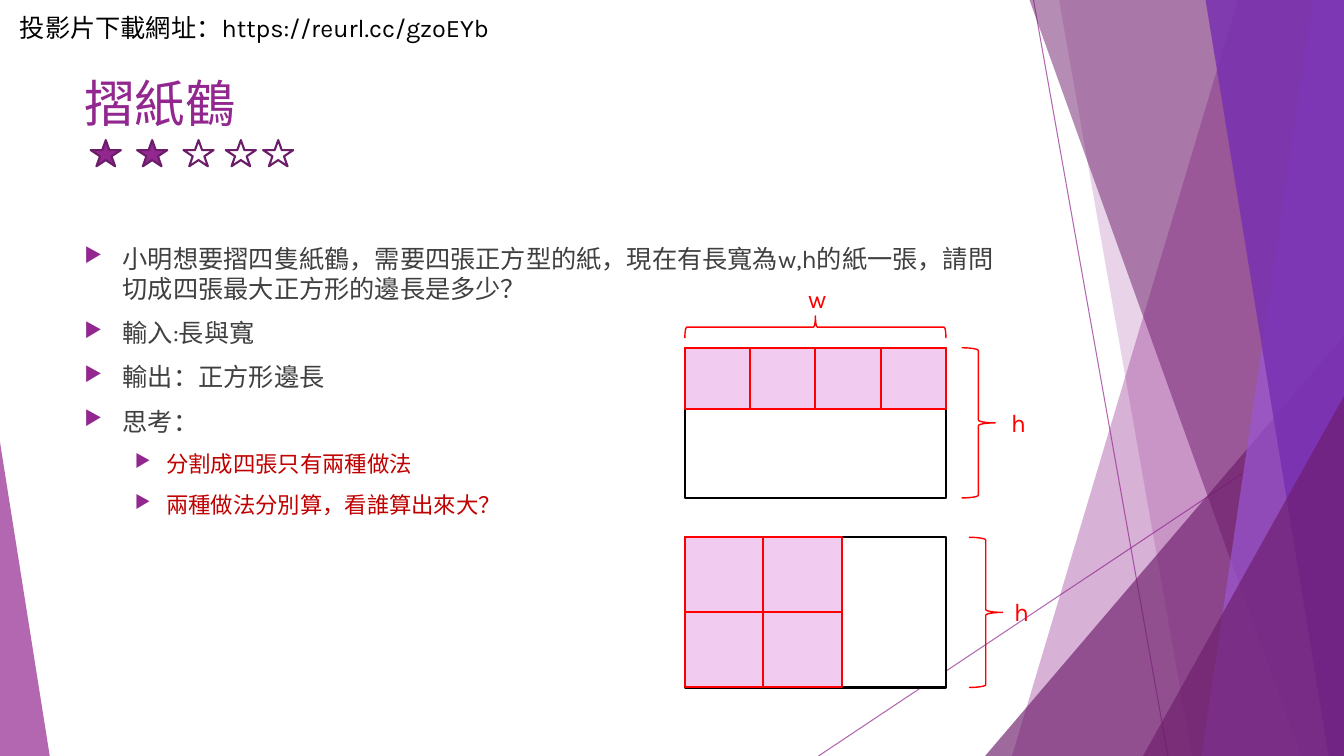
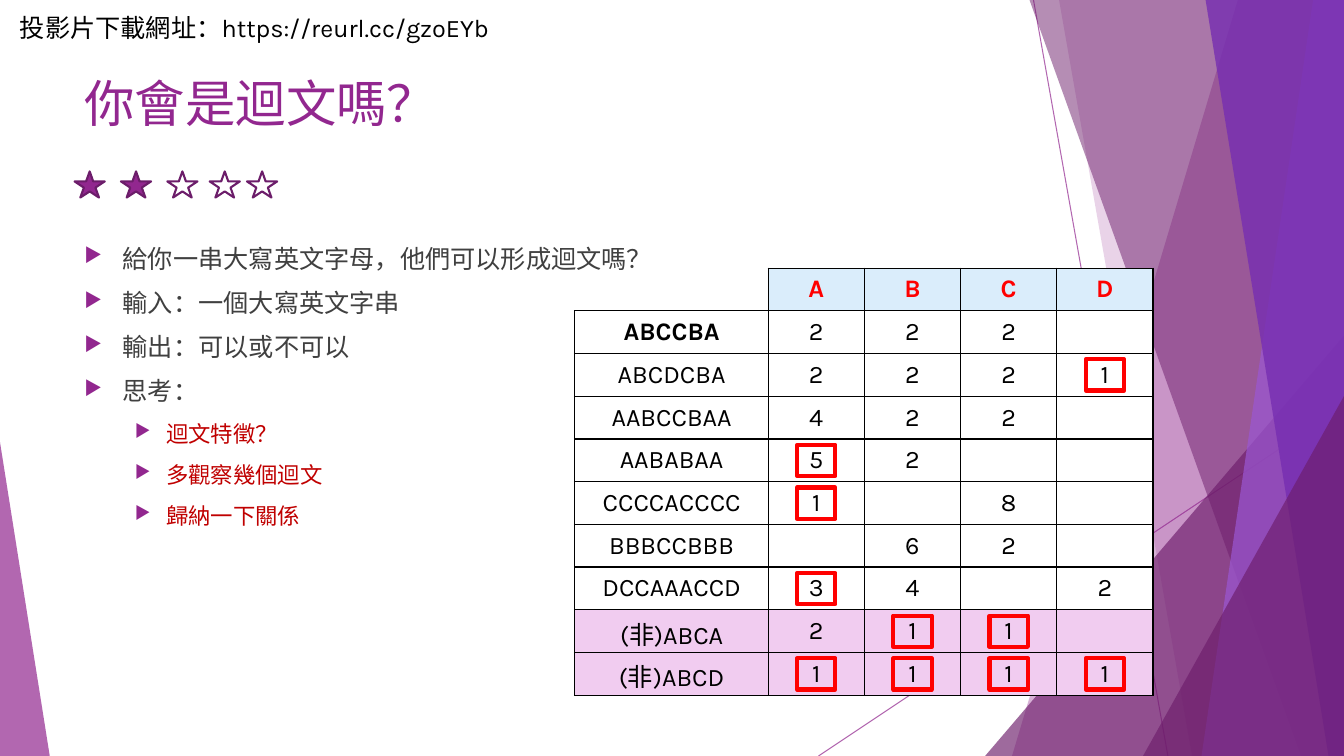
from dataclasses import dataclass
from typing import NamedTuple, Optional

from lxml import etree
from pptx import Presentation
from pptx import util as u
from pptx.dml.color import RGBColor
from pptx.enum import shapes, text
from pptx.oxml.ns import qn

KIND = shapes.MSO_SHAPE
MID = text.PP_ALIGN.CENTER


@dataclass(frozen=True)
class Theme:
    font: str = "Karla"
    head: float = 36
    base: float = 18
    sub: float = 16
    plum: str = "92278F"
    deep: str = "6D1D6B"
    edge: str = "6C1D6A"
    lilac: str = "9B57D3"
    violet: str = "762EB1"
    pink: str = "F1CCF0"
    sky: str = "DAEDFB"
    gray: str = "404040"
    dark: str = "C00000"
    red: str = "FF0000"
    black: str = "000000"
    white: str = "FFFFFF"


T = Theme()
WIDE, HIGH = u.Inches(13.33), u.Inches(7.5)


# The slide is a grid of 100 columns by 100 rows
def col(n: float) -> int:
    return round(WIDE * n / 100)


def row(n: float) -> int:
    return round(HIGH * n / 100)


class Box(NamedTuple):
    x: float
    y: float
    w: float
    h: float

    def emu(self) -> tuple:
        return col(self.x), row(self.y), col(self.w), row(self.h)


class Pane(NamedTuple):
    top: float
    foot: float
    hue: str
    alpha: int


class Wedge(NamedTuple):
    box: Box
    tip: float
    hue: str
    alpha: int


class Item(NamedTuple):
    words: str
    deep: bool = False


class Count(NamedTuple):
    word: str
    nums: tuple
    hue: str = T.white
    bold: bool = False


# Content
LINK = "投影片下載網址：https://reurl.cc/gzoEYb"
LINES = [(76.9, 0, 86.9, 100), (100, 53.7, 60.9, 100)]
BACK = [
    Pane(92.1, 75.3, T.plum, 36),
    Pane(78.8, 88.7, T.plum, 20),
    Wedge(Box(73.3, 44.4, 26.7, 55.6), 1, T.deep, 66),
    Pane(76.6, 96.8, T.deep, 50),
    Pane(97.7, 89.4, T.lilac, 70),
    Pane(89.7, 98.85, T.violet, 80),
    Wedge(Box(85.05, 52.4, 14.95, 47.6), 1, T.deep, 66),
    Wedge(Box(0, 58.5, 3.7, 41.5), 0, T.plum, 70),
]
STEPS = (0, 3.45, 6.9, 10.05, 12.83)
CRANE = [
    Item("小明想要摺四隻紙鶴，需要四張正方型的紙，現在有長寬為w,h的紙一張，"
         "請問切成四張最大正方形的邊長是多少？"),
    Item("輸入:長與寬"),
    Item("輸出：正方形邊長"),
    Item("思考："),
    Item("分割成四張只有兩種做法", True),
    Item("兩種做法分別算，看誰算出來大？", True),
]
MIRROR = [
    Item("給你一串大寫英文字母，他們可以形成迴文嗎？"),
    Item("輸入：一個大寫英文字串"),
    Item("輸出：可以或不可以"),
    Item("思考："),
    Item("迴文特徵？", True),
    Item("多觀察幾個迴文", True),
    Item("歸納一下關係", True),
]
COUNTS = [
    Count("ABCCBA", (2, 2, 2, 0), bold=True),
    Count("ABCDCBA", (2, 2, 2, 1)),
    Count("AABCCBAA", (4, 2, 2, 0)),
    Count("AABABAA", (5, 2, 0, 0)),
    Count("CCCCACCCC", (1, 0, 8, 0)),
    Count("BBBCCBBB", (0, 6, 2, 0)),
    Count("DCCAAACCD", (3, 4, 0, 2)),
    Count("(非)ABCA", (2, 1, 1, 0), T.pink),
    Count("(非)ABCD", (1, 1, 1, 1), T.pink),
]


# Drawing helpers
def rgb(hue: str) -> RGBColor:
    return RGBColor.from_string(hue)


def fade(part, alpha: int) -> None:
    for tint in part._element.spPr.iter(qn("a:srgbClr")):
        etree.SubElement(tint, qn("a:alpha"), val=str(alpha * 1000))


def paint(part, fill: Optional[str], line: Optional[str] = None, thick: float = 1.5) -> None:
    part.shadow.inherit = False
    if fill:
        part.fill.solid()
        part.fill.fore_color.rgb = rgb(fill)
    else:
        part.fill.background()
    if line:
        part.line.color.rgb = rgb(line)
        part.line.width = u.Pt(thick)
    else:
        part.line.fill.background()


def form(slide, kind, box: Box, fill: Optional[str], line: Optional[str] = None,
         thick: float = 1.5):
    part = slide.shapes.add_shape(kind, *box.emu())
    paint(part, fill, line, thick)
    return part


def style(para, size: float, hue: str, bold: bool = False) -> None:
    font = para.font
    font.name, font.size, font.bold = T.font, u.Pt(size), bold
    font.color.rgb = rgb(hue)


def write(slide, box: Box, words: str, size: float, hue: str, wrap: bool = False) -> None:
    frame = slide.shapes.add_textbox(*box.emu()).text_frame
    frame.word_wrap = wrap
    if not wrap:
        frame.auto_size = text.MSO_AUTO_SIZE.SHAPE_TO_FIT_TEXT
    para = frame.paragraphs[0]
    para.text = words
    style(para, size, hue)


def bullet(para, left: float, hang: float) -> None:
    props = para._p.get_or_add_pPr()
    props.set("marL", str(u.Inches(left)))
    props.set("indent", str(-u.Inches(hang)))
    tint = etree.SubElement(props, qn("a:buClr"))
    etree.SubElement(tint, qn("a:srgbClr"), val=T.plum)
    etree.SubElement(props, qn("a:buSzPct"), val="80000")
    etree.SubElement(props, qn("a:buChar"), char="▶")


def outline(slide, items: list) -> None:
    frame = slide.shapes.add_textbox(*Box(5.55, 31.47, 70.5, 56.53).emu()).text_frame
    frame.word_wrap = True
    for i, item in enumerate(items):
        para = frame.add_paragraph() if i else frame.paragraphs[0]
        para.text = item.words
        para.level = int(item.deep)
        bullet(para, *((0.81, 0.31) if item.deep else (0.38, 0.38)))
        if i:
            para.space_before = u.Pt(10)
        style(para, T.sub if item.deep else T.base, T.dark if item.deep else T.gray)


def stars(slide, x: float, y: float, score: int = 2) -> None:
    for i, step in enumerate(STEPS):
        form(slide, KIND.STAR_5_POINT, Box(x + step, y, 2.25, 3.47),
             T.plum if i < score else None, T.edge)


# Shared backdrop, link and title
def backdrop(slide) -> None:
    for x, y, x2, y2 in LINES:
        line = slide.shapes.add_connector(
            shapes.MSO_CONNECTOR.STRAIGHT, col(x), row(y), col(x2), row(y2))
        line.line.color.rgb = rgb(T.plum)
        line.line.width = u.Pt(0.75)
        fade(line, 70)
        etree.SubElement(line._element.spPr, qn("a:effectLst"))
    for item in BACK:
        if isinstance(item, Pane):
            pen = slide.shapes.build_freeform(col(item.top), 0)
            pen.add_line_segments(
                [(col(100), 0), (col(100), row(100)), (col(item.foot), row(100))])
            part = pen.convert_to_shape()
            paint(part, item.hue)
        else:
            part = form(slide, KIND.ISOSCELES_TRIANGLE, item.box, item.hue)
            part.adjustments[0] = item.tip
        fade(part, item.alpha)


def start(deck, title: str, items: list):
    slide = deck.slides.add_slide(deck.slide_layouts[6])
    backdrop(slide)
    write(slide, Box(0.75, 0.93, 37.35, 5.33), LINK, T.base, T.black)
    outline(slide, items)
    write(slide, Box(5.55, 8.93, 70.5, 19.2), title, T.head, T.plum, True)
    return slide


# Paper cut into equal squares
def paper(slide, y: float, cols: int, rows: int, w: float, h: float) -> None:
    left = 50.95
    form(slide, KIND.RECTANGLE, Box(left, y, 19.45, 19.87), T.white, T.black)
    for i in range(cols * rows):
        r, c = divmod(i, cols)
        form(slide, KIND.RECTANGLE, Box(left + c * w, y + r * h, w, h), T.pink, T.red)


def brace(slide, box: Box, name: str, tag: Box, turn: float = 0) -> None:
    part = form(slide, KIND.RIGHT_BRACE, box, None, T.red, 1)
    part.rotation = turn
    write(slide, tag, name, T.base, T.red)


def crane(deck) -> None:
    slide = start(deck, "摺紙鶴", CRANE)
    paper(slide, 46, 4, 1, 4.86, 8.13)
    paper(slide, 71.07, 2, 2, 5.85, 9.93)
    brace(slide, Box(71.55, 46, 2.5, 19.87), "h", Box(74.48, 53.2, 2.55, 5.33))
    brace(slide, Box(72.1, 71.07, 2.5, 19.87), "h", Box(74.7, 78.27, 2.55, 5.33))
    brace(slide, Box(59.85, 26, 1.65, 34.53), "w", Box(59.4, 36.8, 2.93, 5.33), 270)
    stars(slide, 6.75, 18.53)


# Letter counts
def fill(cell, words: str, back: str, hue: str, bold: bool) -> None:
    props = cell._tc.get_or_add_tcPr()
    for side in ("lnL", "lnR", "lnT", "lnB"):
        line = etree.SubElement(props, qn(f"a:{side}"), w=str(u.Pt(1)))
        solid = etree.SubElement(line, qn("a:solidFill"))
        etree.SubElement(solid, qn("a:srgbClr"), val=T.black)
    cell.fill.solid()
    cell.fill.fore_color.rgb = rgb(back)
    cell.vertical_anchor = text.MSO_ANCHOR.MIDDLE
    para = cell.text_frame.paragraphs[0]
    para.text = words
    para.alignment = MID
    style(para, T.base, hue, bold)


def grid(slide, box: Box, rows: int, cols: int):
    table = slide.shapes.add_table(rows, cols, *box.emu()).table
    table.first_row = table.horz_banding = False
    return table


def mirror(deck) -> None:
    slide = start(deck, "你會是迴文嗎？", MIRROR)
    x, y, w, h = 57.15, 35.47, 7.16, 5.65
    size = len(COUNTS)
    names = grid(slide, Box(42.75, y + h, 14.45, h * size), size, 1)
    nums = grid(slide, Box(x, y, w * 4, h * (size + 1)), size + 1, 4)
    for c, name in enumerate("ABCD"):
        fill(nums.cell(0, c), name, T.sky, T.red, True)
    for r, count in enumerate(COUNTS):
        fill(names.cell(r, 0), count.word, count.hue, T.black, count.bold)
        for c, num in enumerate(count.nums):
            fill(nums.cell(r + 1, c), str(num or ""), count.hue, T.black, False)
            # Odd counts get a ring
            if num % 2:
                ring = Box(x + w * (c + 0.5) - 1.42, y + h * (r + 1.5) - 2.06, 2.85, 4.13)
                form(slide, KIND.RECTANGLE, ring, None, T.red, 3)
    stars(slide, 5.55, 22.67)


def main() -> None:
    deck = Presentation()
    deck.slide_width, deck.slide_height = WIDE, HIGH
    crane(deck)
    mirror(deck)
    deck.save("out.pptx")


if __name__ == "__main__":
    main()
